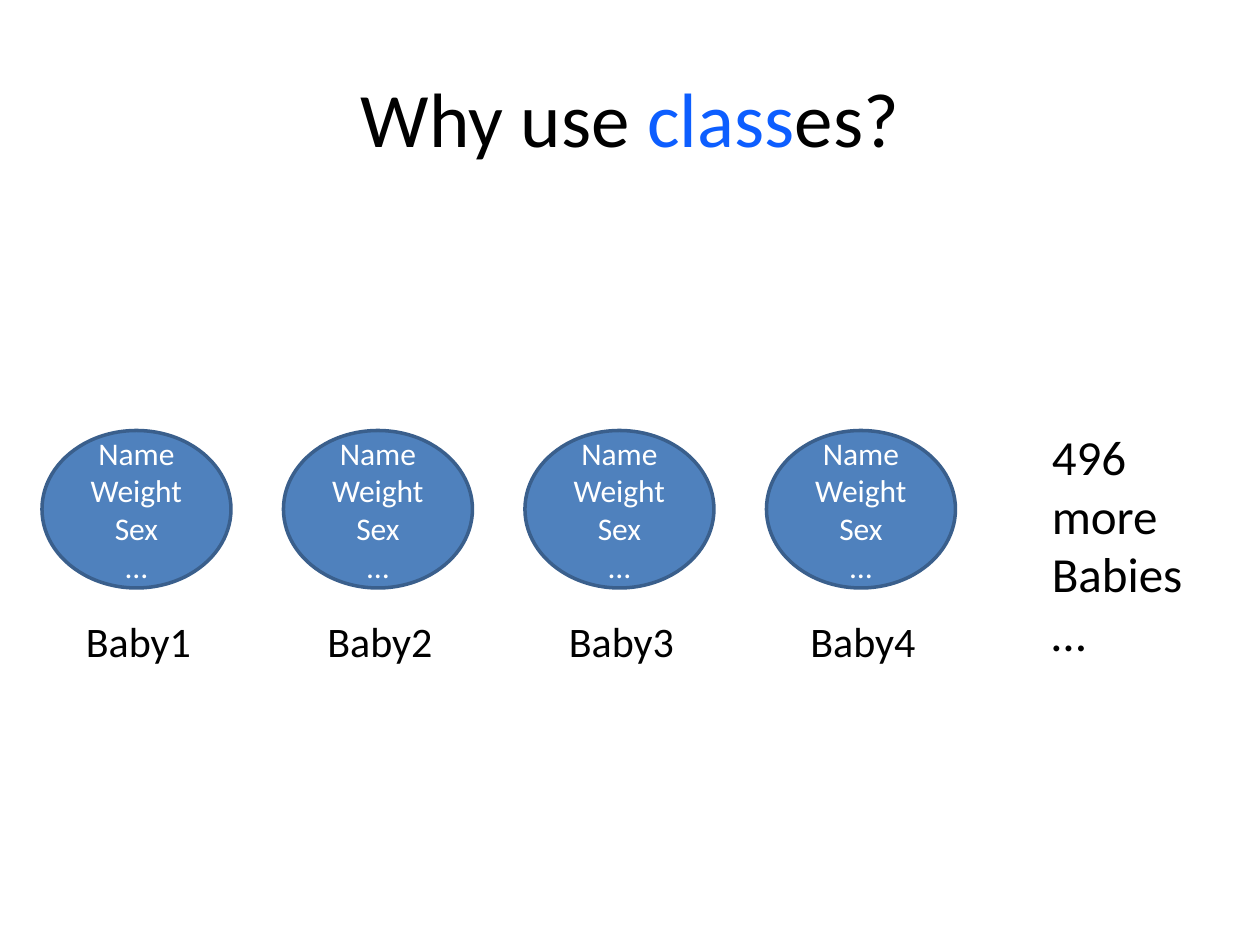
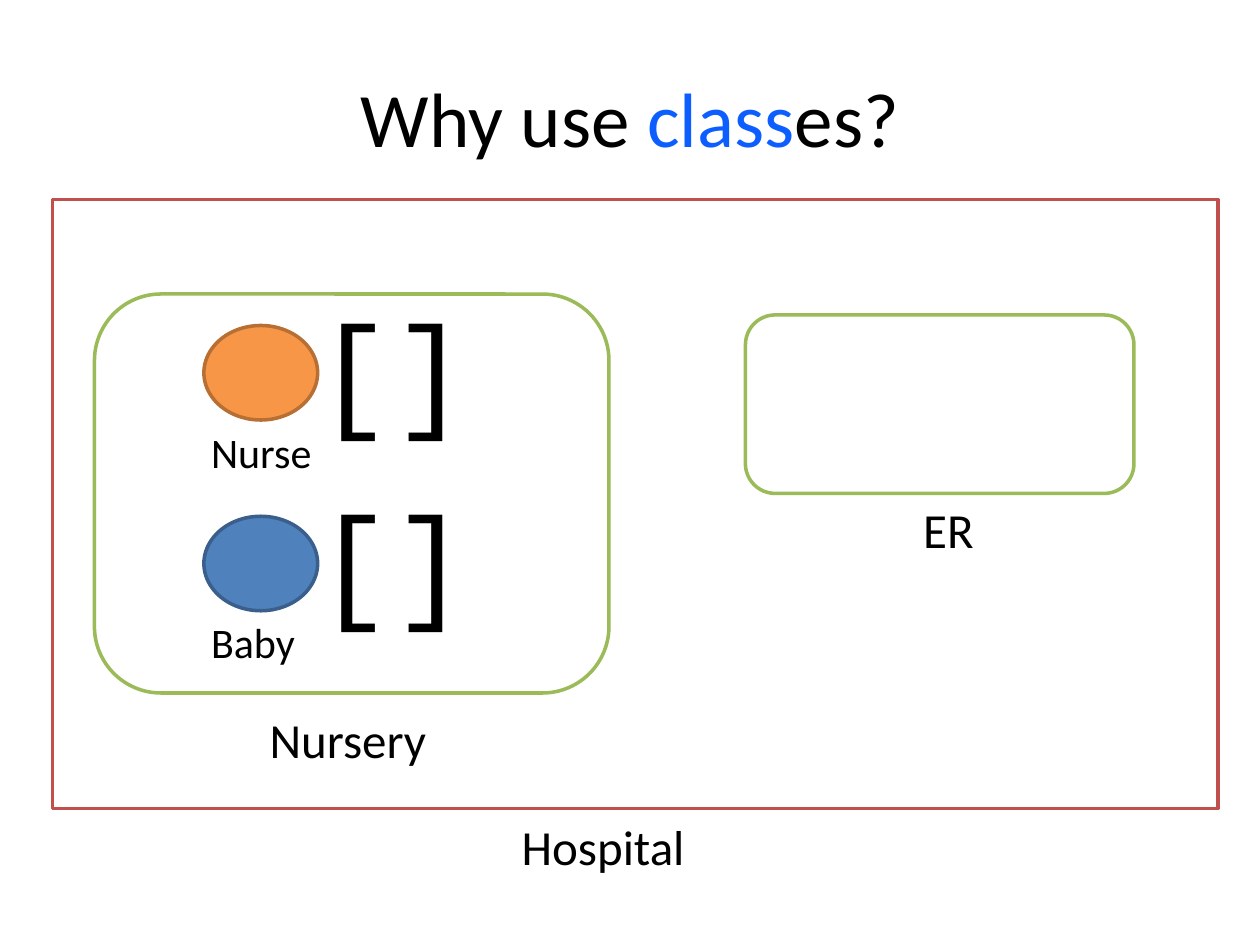
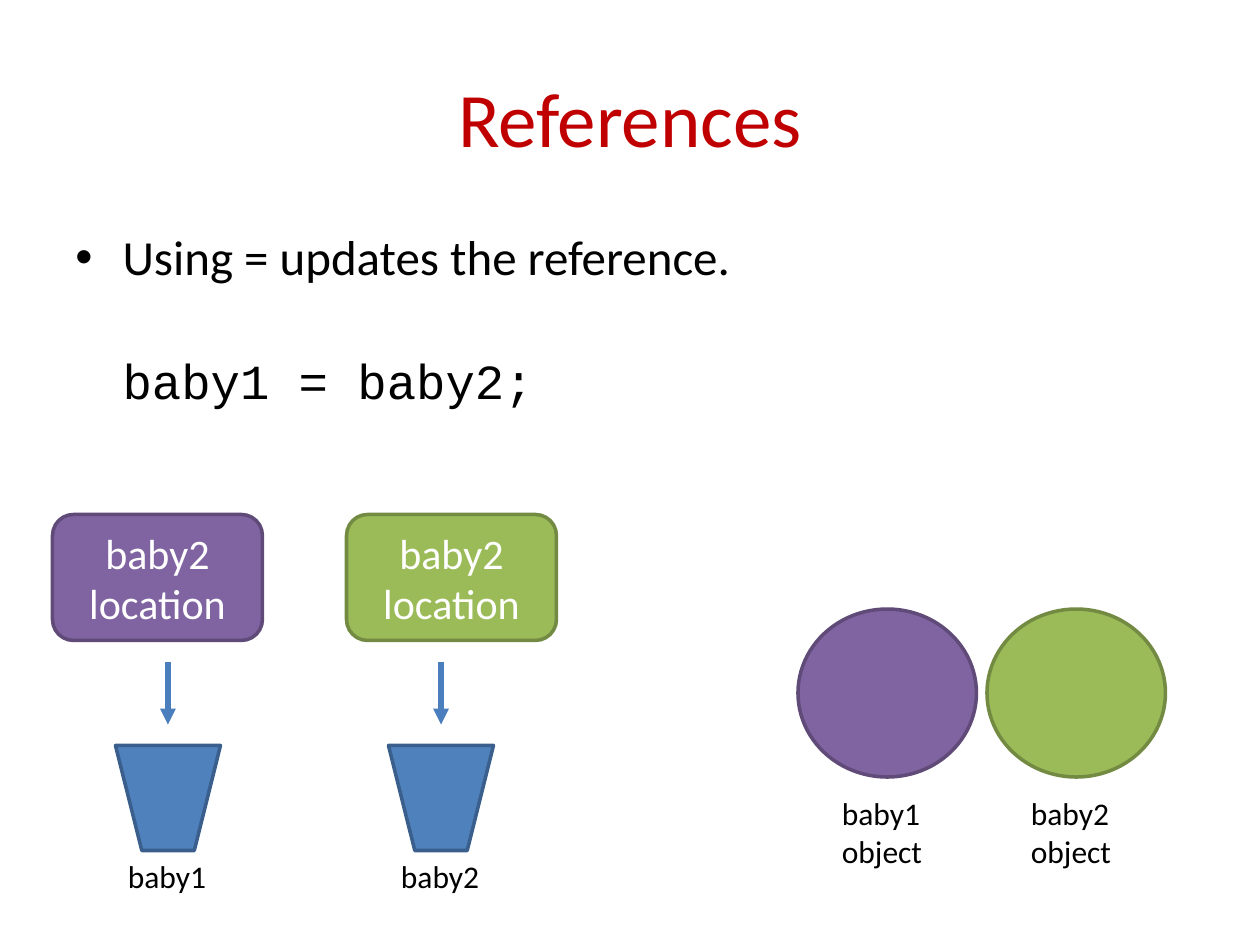
from lxml import etree
from pptx import Presentation
from pptx.dml.color import RGBColor
from pptx.enum.shapes import MSO_CONNECTOR, MSO_SHAPE
from pptx.enum.text import MSO_ANCHOR, PP_ALIGN
from pptx.oxml.ns import qn
from pptx.util import Pt

OVAL, RECT = MSO_SHAPE.OVAL, MSO_SHAPE.RECTANGLE
ROUNDED, CUP = MSO_SHAPE.ROUNDED_RECTANGLE, MSO_SHAPE.TRAPEZOID
STRAIGHT = MSO_CONNECTOR.STRAIGHT
LEFT, CENTER, MIDDLE = PP_ALIGN.LEFT, PP_ALIGN.CENTER, MSO_ANCHOR.MIDDLE

COLORS = {
    "black": "000000", "white": "FFFFFF", "keyword": "0D5EFF", "heading": "C00000",
    "blue": "4F81BD", "blue_edge": "3A5F8C", "arrow": "4B7EBC",
    "orange": "F79646", "orange_edge": "B76F34",
    "green": "9BBB59", "green_edge": "738A42",
    "purple": "8064A2", "purple_edge": "5F4A78", "red": "C0504D",
}
SANS, MONO = "Calibri", "Courier New"
CLASSES_TITLE = [("Why use ", "black"), ("class", "keyword"), ("es?", "black")]


def rgb(color):
    return RGBColor.from_string(COLORS[color])


def points(*lengths):
    return [Pt(length) for length in lengths]


# Shared building blocks
def style_font(font, size, color, name=SANS):
    for key, value in {"size": Pt(size), "name": name}.items():
        setattr(font, key, value)
    font.color.rgb = rgb(color)


def write_lines(frame, lines, size, color, align, name=SANS):
    for index, line in enumerate(lines):
        paragraph = frame.add_paragraph() if index else frame.paragraphs[0]
        paragraph.text = line
        paragraph.alignment = align
        style_font(paragraph.font, size, color, name)


def add_label(slide, box, lines, size, name=SANS):
    frame = slide.shapes.add_textbox(*points(*box)).text_frame
    frame.word_wrap = False
    write_lines(frame, lines, size, "black", LEFT, name)


def add_figure(slide, kind, box, fill, edge, lines=(), size=18):
    figure = slide.shapes.add_shape(kind, *points(*box))
    figure.shadow.inherit = False
    figure.fill.solid()
    figure.fill.fore_color.rgb = rgb(fill)
    figure.line.color.rgb = rgb(edge)
    figure.line.width = Pt(2)
    figure.text_frame.vertical_anchor = MIDDLE
    write_lines(figure.text_frame, lines, size, "white", CENTER)
    return figure


def add_arrow(slide, x, top, bottom):
    arrow = slide.shapes.add_connector(STRAIGHT, *points(x, top, x, bottom))
    arrow.line.color.rgb = rgb("arrow")
    arrow.line.width = Pt(3)
    etree.SubElement(arrow.line._get_or_add_ln(), qn("a:tailEnd"), type="triangle")
    etree.SubElement(arrow._element.spPr, qn("a:effectLst"))


def add_titled_slide(prs, title_parts):
    slide = prs.slides.add_slide(prs.slide_layouts[5])
    title = slide.shapes.title
    place = dict(zip(("left", "top", "width", "height"), points(36, 21.6, 648, 90)))
    for key, value in place.items():
        setattr(title, key, value)
    title.text_frame.vertical_anchor = MIDDLE
    paragraph = title.text_frame.paragraphs[0]
    paragraph.alignment = CENTER
    for text, color in title_parts:
        run = paragraph.add_run()
        run.text = text
        style_font(run.font, 44, color)
    return slide


# Slide 1: one object per baby
def add_baby(slide, left, top, name):
    add_figure(slide, OVAL, (left, top, 108, 90), "blue", "blue_edge",
               ["Name", "Weight", "Sex", "…"])
    add_label(slide, (left + 18, top + 102, 75, 36), [name], 24)


def build_babies(prs):
    slide = add_titled_slide(prs, CLASSES_TITLE)
    for index in range(4):
        add_baby(slide, 24 + 138 * index, 246, f"Baby{index + 1}")
    add_label(slide, (594, 240, 89, 143), ["496", "more", "Babies", "…"], 28)


# Slide 2: classes nested in a hospital
def add_staff_row(slide, left, top, name, width, color):
    add_figure(slide, OVAL, (left, top, 65, 54), color, f"{color}_edge")
    add_label(slide, (left - 3, top + 54, width, 36), [name], 24)
    add_label(slide, (left + 57.5, top - 24, 102, 94), ["[]"], 72, MONO)


def add_nursery(slide, left, top):
    add_figure(slide, ROUNDED, (left, top, 294, 228), "white", "green")
    rows = [("Nurse", 73, "orange"), ("Baby", 63, "blue")]
    for index, row in enumerate(rows):
        add_staff_row(slide, left + 62.5, top + 18 + 109 * index, *row)
    add_label(slide, (left + 93, top + 234, 105, 41), ["Nursery"], 28)


def add_er(slide, left, top):
    add_figure(slide, ROUNDED, (left, top, 222, 102), "white", "green")
    add_label(slide, (left + 94.5, top + 102, 44, 41), ["ER"], 28)


def build_hospital(prs):
    slide = add_titled_slide(prs, CLASSES_TITLE)
    add_figure(slide, RECT, (30, 114, 666, 348), "white", "red")
    add_label(slide, (291, 463, 109, 41), ["Hospital"], 28)
    add_nursery(slide, 54, 168)
    add_er(slide, 426, 180)


# Slide 3: variables holding references
def add_explanation(slide, box):
    frame = slide.shapes.add_textbox(*points(*box)).text_frame
    frame.word_wrap = True
    statement, code = frame.paragraphs[0], frame.add_paragraph()
    for paragraph, indent in ((statement, -27), (code, 0)):
        properties = paragraph._p.get_or_add_pPr()
        properties.set("marL", str(Pt(27)))
        properties.set("indent", str(Pt(indent)))
    properties = statement._p.get_or_add_pPr()
    etree.SubElement(properties, qn("a:buFont"), typeface="Arial")
    etree.SubElement(properties, qn("a:buChar"), char="•")
    statement.text = "Using = updates the reference."
    style_font(statement.font, 28, "black")
    code.text = "baby1 = baby2;"
    code.space_before = Pt(37)
    style_font(code.font, 28, "black", MONO)


def add_reference(slide, left, top, cup_left, name, color):
    add_figure(slide, ROUNDED, (left, top, 120, 72), color, f"{color}_edge",
               ["baby2", "location"], 24)
    add_arrow(slide, cup_left + 30, top + 84, top + 120)
    cup = add_figure(slide, CUP, (cup_left, top + 132, 60, 60), "blue", "blue_edge")
    cup.rotation = 180
    add_label(slide, (cup_left, top + 192, 60, 29), [name], 18)


def add_object(slide, left, top, name, color):
    add_figure(slide, OVAL, (left, top, 102, 96), color, f"{color}_edge")
    add_label(slide, (left + 18, top + 102, 61, 51), [name, "object"], 18)


def build_references(prs):
    slide = add_titled_slide(prs, [("References", "heading")])
    add_explanation(slide, (36, 126, 648, 356))
    babies = [("baby1", "purple"), ("baby2", "green")]
    for index, baby in enumerate(babies):
        add_reference(slide, 30 + 168 * index, 294, 66 + 156 * index, *baby)
        add_object(slide, 456 + 108 * index, 348, *baby)


def main():
    prs = Presentation()
    prs.slide_width, prs.slide_height = points(720, 540)
    for build in (build_babies, build_hospital, build_references):
        build(prs)
    prs.save("out.pptx")


if __name__ == "__main__":
    main()
